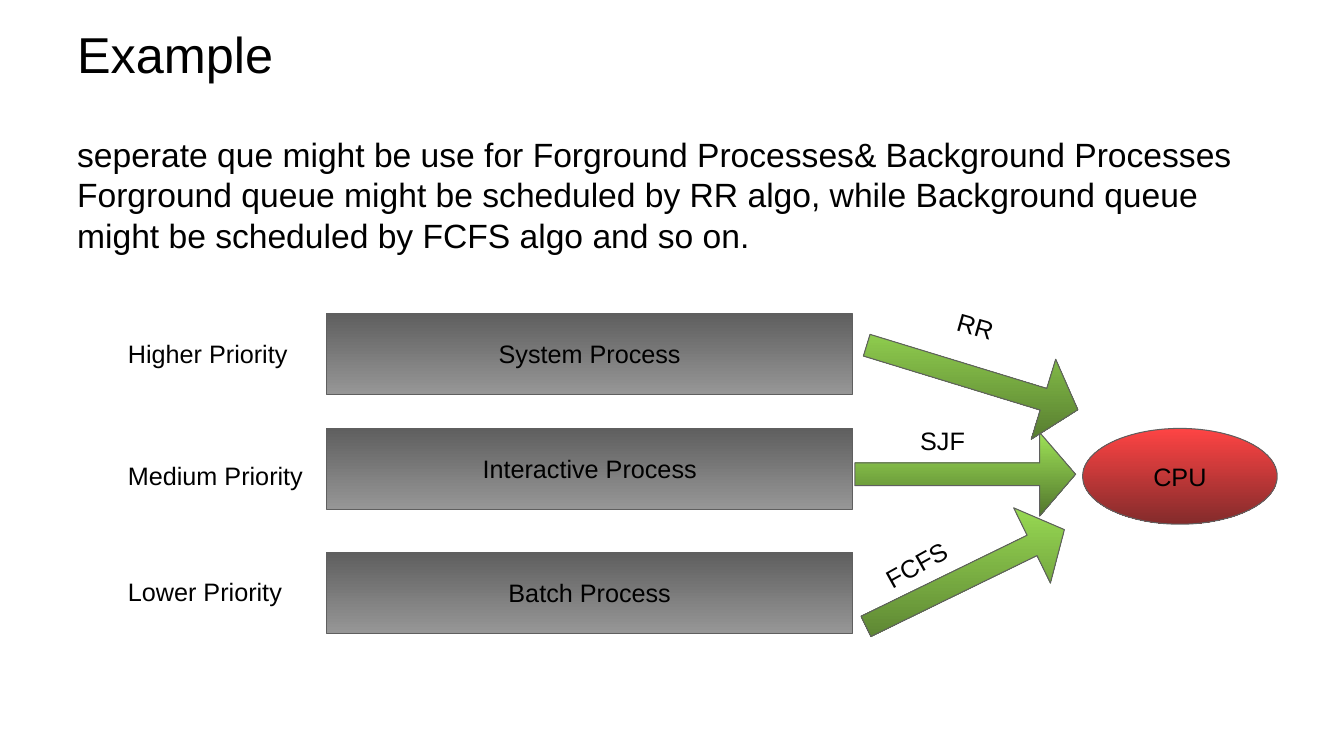
from typing import NamedTuple

import pptx
import pptx.dml.color
import pptx.enum.shapes
import pptx.enum.text
import pptx.util

SHAPE = pptx.enum.shapes.MSO_SHAPE
ALIGN = pptx.enum.text.PP_ALIGN
ANCHOR = pptx.enum.text.MSO_ANCHOR
FONT = "Arial"
COLORS = {
    "text": "000000", "line": "5F5F5F",
    "queue_top": "5F5F5F", "queue_bottom": "969696",
    "cpu_top": "FE4444", "cpu_bottom": "832B2B",
    "arrow_top": "9EE256", "arrow_bottom": "52762D",
}


class Box(NamedTuple):
    """Left, top, width and height as percentages of the slide's size."""
    x: float
    y: float
    w: float
    h: float


class Level(NamedTuple):
    """One priority level: its queue, its arrow and the algorithm's label."""
    priority: str
    priority_y: float
    process: str
    queue_y: float
    arrow_x: float
    arrow_y: float
    arrow_turn: float
    algo: str
    algo_x: float
    algo_y: float
    algo_turn: float


LEVELS = [
    Level("Higher Priority", 44.13, "System Process", 41.47,
          64.13, 44.4, 17, "RR", 70.43, 41.47, 16),
    Level("Medium Priority", 60.27, "Interactive Process", 56.67,
          63.6, 57.2, 0, "SJF", 67.73, 55.6, 0),
    Level("Lower Priority", 75.6, "Batch Process", 73.07,
          63.6, 70.93, 334, "FCFS", 64.88, 71.2, 331),
]

prs = pptx.Presentation()
prs.slide_width = pptx.util.Inches(13.33)
prs.slide_height = pptx.util.Inches(7.5)
s = prs.slides.add_slide(prs.slide_layouts[6])


def place(box: Box) -> tuple[int, int, int, int]:
    width, height = prs.slide_width, prs.slide_height
    return (int(box.x * width / 100), int(box.y * height / 100),
            int(box.w * width / 100), int(box.h * height / 100))


def rgb(name: str) -> pptx.dml.color.RGBColor:
    return pptx.dml.color.RGBColor.from_string(COLORS[name])


def write(sp, lines: list[str], size: float, align=ALIGN.LEFT,
          anchor=ANCHOR.TOP, wrap: bool = True) -> None:
    tf = sp.text_frame
    tf.word_wrap = wrap
    tf.vertical_anchor = anchor
    for i, line in enumerate(lines):
        p = tf.add_paragraph() if i else tf.paragraphs[0]
        p.alignment = align
        r = p.add_run()
        r.text = line
        r.font.size = pptx.util.Pt(size)
        r.font.name = FONT
        r.font.color.rgb = rgb("text")


def add_text(box: Box, lines: list[str], size: float = 18,
             turn: float = 0, anchor=ANCHOR.TOP) -> None:
    sp = s.shapes.add_textbox(*place(box))
    sp.rotation = turn
    write(sp, lines, size, anchor=anchor)


def add_block(kind, box: Box, color: str, text: str = "", turn: float = 0):
    sp = s.shapes.add_shape(kind, *place(box))
    sp.shadow.inherit = False
    sp.rotation = turn
    sp.fill.gradient()
    sp.fill.gradient_angle = 270
    for stop, end in zip(sp.fill.gradient_stops, ("top", "bottom")):
        stop.color.rgb = rgb(f"{color}_{end}")
    # The gradient stays vertical when the shape is turned
    grad = sp._element.spPr.find(pptx.oxml.ns.qn("a:gradFill"))
    grad.set("rotWithShape", "0")
    sp.line.color.rgb = rgb("line")
    sp.line.width = pptx.util.Pt(0.75)
    if text:
        write(sp, [text], 18, ALIGN.CENTER, ANCHOR.MIDDLE, wrap=False)
    return sp


# Title and explanation
add_text(Box(5, 2.8, 90, 8.53), ["Example"], 36, anchor=ANCHOR.MIDDLE)
add_text(Box(5, 17.07, 90, 72.27), [
    "seperate que might be use for Forground Processes& Background Processes",
    "Forground queue might be scheduled by RR algo, while Background queue "
    "might be scheduled by FCFS algo and so on.",
], 24)

# Queues and the processor
for level in LEVELS:
    add_block(SHAPE.RECTANGLE, Box(24.3, level.queue_y, 39.15, 10.67),
              "queue", level.process)
add_block(SHAPE.OVAL, Box(80.55, 56.67, 14.48, 12.67), "cpu", "CPU")

# Arrows, the lowest level at the back
for level in reversed(LEVELS):
    sp = add_block(SHAPE.RIGHT_ARROW,
                   Box(level.arrow_x, level.arrow_y, 16.43, 11.07),
                   "arrow", turn=level.arrow_turn)
    sp.adjustments[0], sp.adjustments[1] = 0.27, 0.43

# Algorithm and priority labels
for level in LEVELS:
    add_text(Box(level.algo_x, level.algo_y, 8.18, 5.33), [level.algo],
             turn=level.algo_turn)
    add_text(Box(8.78, level.priority_y, 15.53, 5.33), [level.priority])

prs.save("out.pptx")
